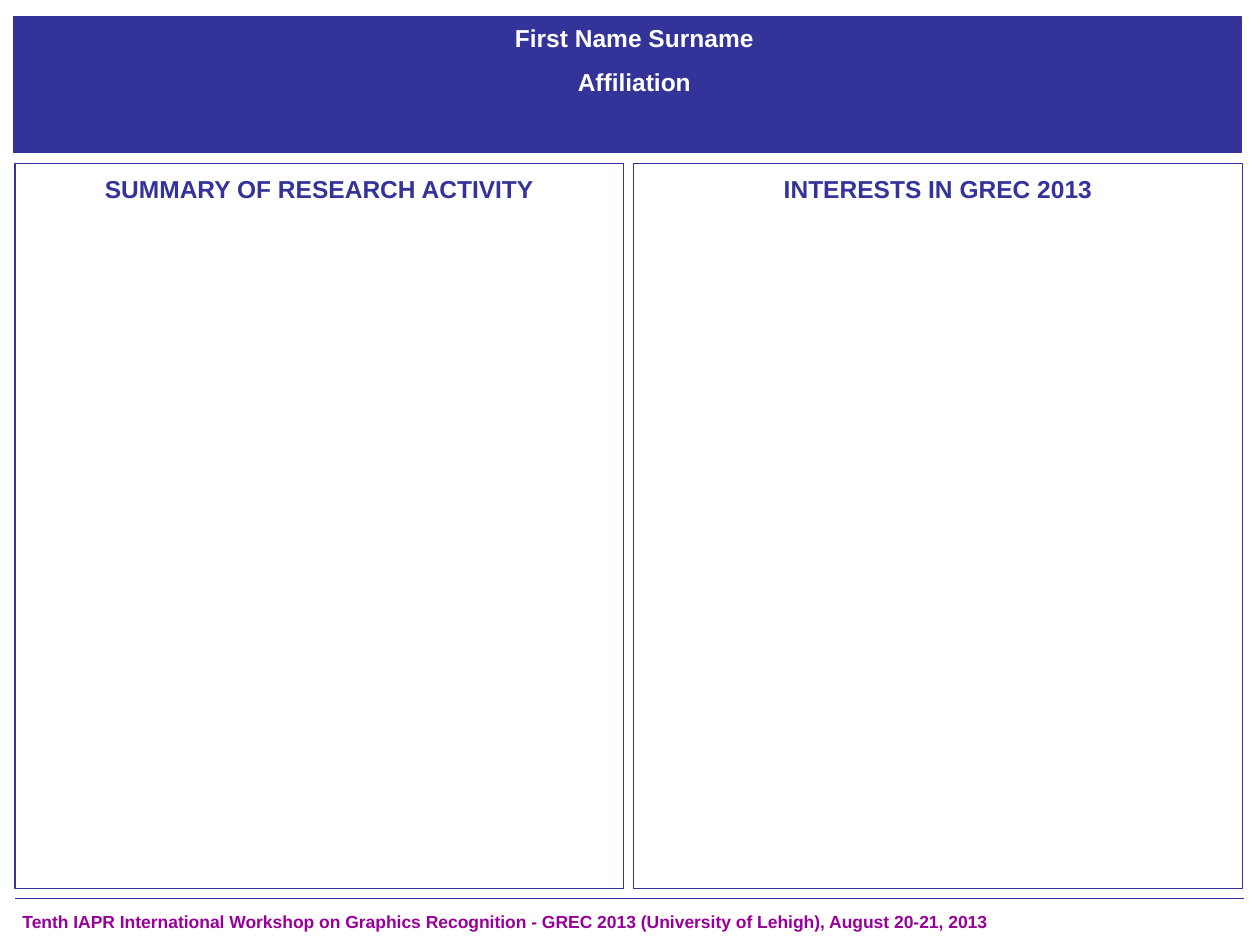
import pptx
import pptx.dml.color
import pptx.enum.shapes
import pptx.enum.text
import pptx.oxml.ns
import pptx.util
from pptx.util import Inches
from lxml import etree

NAVY, PURPLE, WHITE = "333399", "990099", "FFFFFF"
CENTER = pptx.enum.text.PP_ALIGN.CENTER
LEFT = pptx.enum.text.PP_ALIGN.LEFT


def paint(s, fill):
    """Give a shape a solid fill and the thin navy outline."""
    s.fill.solid()
    s.fill.fore_color.rgb = pptx.dml.color.RGBColor.from_string(fill)
    s.line.color.rgb = pptx.dml.color.RGBColor.from_string(NAVY)
    s.line.width = pptx.util.Pt(0.75)


def write(s, text, size, color, align):
    tf = s.text_frame
    tf.text = text
    tf.word_wrap = True
    tf.auto_size = pptx.enum.text.MSO_AUTO_SIZE.NONE
    tf.vertical_anchor = pptx.enum.text.MSO_ANCHOR.TOP
    for p in tf.paragraphs:
        p.alignment = align
        p.space_before = pptx.util.Pt(8.8)
        for r in p.runs:
            r.font.name = "Arial"
            r.font.size = pptx.util.Pt(size)
            r.font.bold = True
            r.font.color.rgb = pptx.dml.color.RGBColor.from_string(color)


prs = pptx.Presentation()
prs.slide_width, prs.slide_height = Inches(10), Inches(7.5)
slide = prs.slides.add_slide(prs.slide_layouts[5])
shapes = slide.shapes
RECT = pptx.enum.shapes.MSO_SHAPE.RECTANGLE

# Header band with name and affiliation
band = shapes.add_shape(RECT, Inches(0.11), Inches(0.13), Inches(9.74), Inches(1.08))
band.shadow.inherit = False
paint(band, NAVY)

title = shapes.title
title.left, title.top = Inches(2.95), Inches(0.13)
title.width, title.height = Inches(4.17), Inches(1.05)
paint(title, NAVY)
write(title, "First Name Surname\nAffiliation", 14, WHITE, CENTER)
band._element.addnext(title._element)  # the title lies on the band

# Footer rule and text
rule = shapes.add_connector(pptx.enum.shapes.MSO_CONNECTOR.STRAIGHT,
                            Inches(0.12), Inches(7.13), Inches(9.87), Inches(7.13))
rule.line.color.rgb = pptx.dml.color.RGBColor.from_string(NAVY)
rule.line.width = pptx.util.Pt(0.75)
etree.SubElement(rule._element.spPr, pptx.oxml.ns.qn("a:effectLst"))

footer = shapes.add_textbox(Inches(0.08), Inches(7.18), Inches(9.17), Inches(0.27))
write(footer, "Tenth IAPR International Workshop on Graphics Recognition - GREC 2013 "
      "(University of Lehigh), August 20-21, 2013", 10, PURPLE, LEFT)

# Two panels, each with a centred heading
panel_w, heading_w = 4.83, 3.67
for x, heading in ((0.12, "SUMMARY OF RESEARCH ACTIVITY"),
                   (5.03, "INTERESTS IN GREC 2013")):
    panel = shapes.add_shape(RECT, Inches(x), Inches(1.3), Inches(panel_w), Inches(5.75))
    panel.shadow.inherit = False
    paint(panel, WHITE)
    box = shapes.add_textbox(Inches(x + (panel_w - heading_w) / 2), Inches(1.33),
                             Inches(heading_w), Inches(0.34))
    write(box, heading, 14, NAVY, CENTER)

prs.save("out.pptx")
